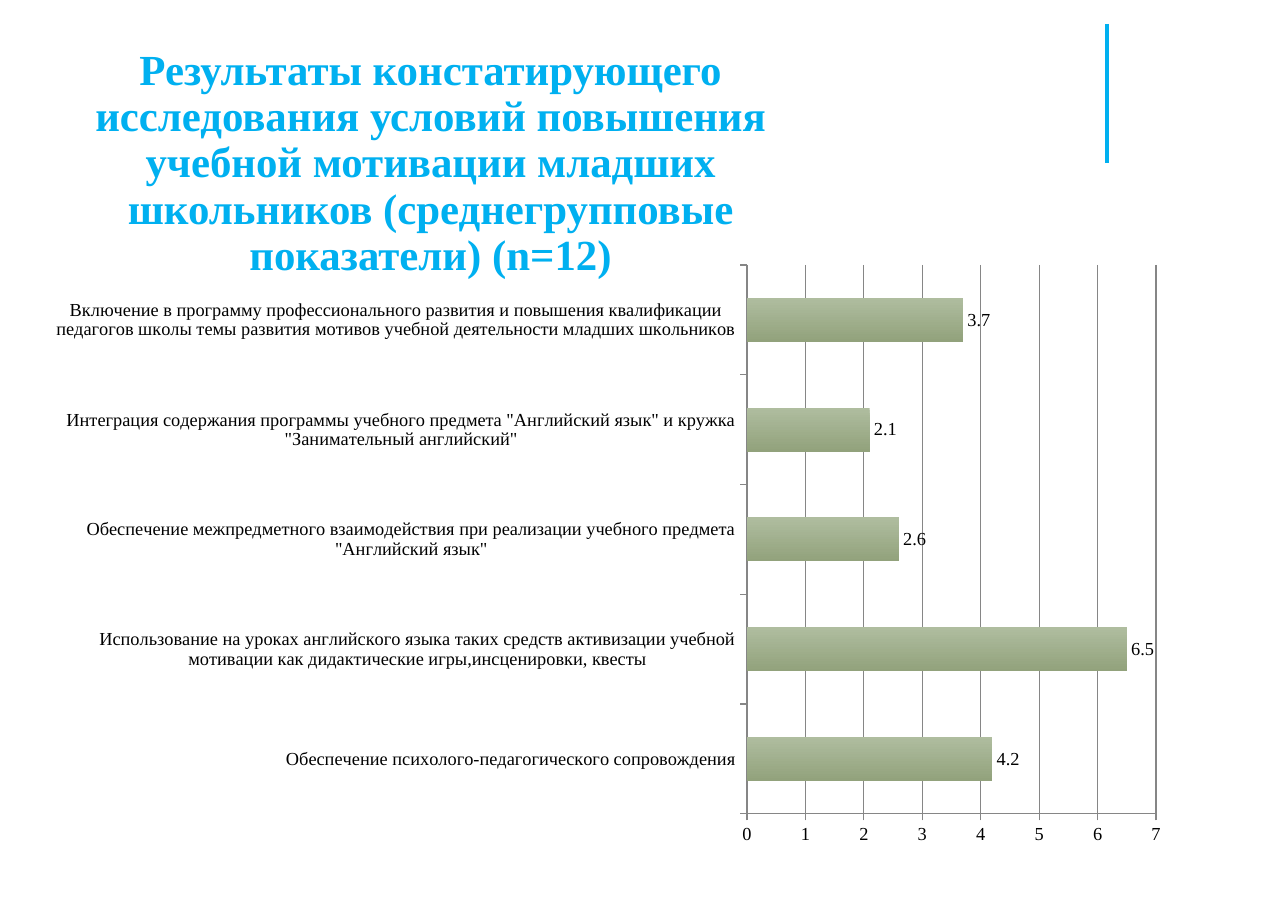
from lxml import etree
from pptx import Presentation
from pptx.chart.data import CategoryChartData
from pptx.dml.color import RGBColor
from pptx.enum.chart import XL_CHART_TYPE as CT, XL_LABEL_POSITION as LP, XL_TICK_MARK as TM
from pptx.enum.shapes import MSO_CONNECTOR as MC
from pptx.enum.text import MSO_ANCHOR as MA, MSO_AUTO_SIZE as AS, PP_ALIGN as PA
from pptx.oxml import parse_xml
from pptx.oxml.ns import nsdecls, qn
from pptx.util import Pt

SCALE = 8298
TITLE = ("Результаты констатирующего исследования условий повышения учебной мотивации "
         "младших школьников (среднегрупповые показатели) (n=12)")
SCORES = {
    "Обеспечение психолого-педагогического сопровождения": 4.2,
    "Использование на уроках английского языка таких средств активизации учебной "
    "мотивации как дидактические игры,инсценировки, квесты": 6.5,
    "Обеспечение межпредметного взаимодействия при реализации учебного предмета "
    "\"Английский язык\"": 2.6,
    "Интеграция содержания программы учебного предмета \"Английский язык\" и кружка "
    "\"Занимательный английский\"": 2.1,
    "Включение в программу профессионального развития и повышения квалификации педагогов "
    "школы темы развития мотивов учебной деятельности младших школьников": 3.7,
}


def px(*values):
    """Turn px lengths into a list of EMU lengths."""
    return [v * SCALE for v in values]


def rgb(code):
    """Turn a hex string into a colour."""
    return RGBColor.from_string(code)


def assign(obj, values):
    """Set attributes of an object from a dict."""
    for name, value in values.items():
        setattr(obj, name, value)


class Deck:
    """Hold the style and the current slide."""

    face = "Times New Roman"
    accent = "00B0F0"
    ink = "000000"
    grid = "868686"
    bar_stops = ("AFBD9F", "92A27C")

    def __init__(self, width, height):
        """Open a deck with one title-only slide."""
        self.prs = Presentation()
        self.prs.slide_width, self.prs.slide_height = px(width, height)
        self.s = self.prs.slides.add_slide(self.prs.slide_layouts[5])

    def font(self, font, size, color, bold=False):
        """Format a font."""
        assign(font, {"name": self.face, "size": Pt(size), "bold": bold})
        font.color.rgb = rgb(color)

    def title(self, text, box):
        """Fill and place the title placeholder."""
        sp = self.s.shapes.title
        assign(sp, dict(zip(("left", "top", "width", "height"), px(*box))))
        tf = sp.text_frame
        side, edge = px(12, 6)
        assign(tf, {"text": text, "word_wrap": True, "auto_size": AS.NONE,
                    "vertical_anchor": MA.MIDDLE, "margin_left": side, "margin_right": side,
                    "margin_top": edge, "margin_bottom": edge})
        p = tf.paragraphs[0]
        assign(p, {"alignment": PA.CENTER, "line_spacing": 0.9})
        self.font(p.runs[0].font, 28, self.accent, True)

    def line(self, ends, width):
        """Draw a straight accent line."""
        sp = self.s.shapes.add_connector(MC.STRAIGHT, *px(*ends))
        sp.line.width = Pt(width)
        sp.line.color.rgb = rgb(self.accent)
        etree.SubElement(sp._element.spPr, qn("a:effectLst"))

    def bars(self, scores, box, plot_box):
        """Draw a bar chart with a fixed inner plot area."""
        data = CategoryChartData()
        data.categories = list(scores)
        data.add_series("Series 1", list(scores.values()))
        chart = self.s.shapes.add_chart(CT.BAR_CLUSTERED, *px(*box), data).chart
        assign(chart, {"has_title": False, "has_legend": False})
        self.font(chart.font, 12, self.ink)
        self.layout(chart, box, plot_box)
        plot = chart.plots[0]
        assign(plot, {"gap_width": 150, "vary_by_categories": False, "has_data_labels": True})
        assign(plot.data_labels, {"show_value": True, "position": LP.OUTSIDE_END})
        self.font(plot.data_labels.font, 12, self.ink)
        fill = plot.series[0].format.fill
        fill.gradient()
        fill.gradient_angle = 270
        for stop, code in zip(fill.gradient_stops, self.bar_stops):
            stop.color.rgb = rgb(code)
        value_axis = chart.value_axis
        assign(value_axis, {"minimum_scale": 0, "maximum_scale": 7, "major_unit": 1,
                            "has_major_gridlines": True})
        chart.category_axis.has_major_gridlines = False
        for axis in (chart.category_axis, value_axis):
            assign(axis, {"major_tick_mark": TM.OUTSIDE, "minor_tick_mark": TM.NONE})
            self.font(axis.tick_labels.font, 12, self.ink)
        for item in (chart.category_axis, value_axis, value_axis.major_gridlines):
            item.format.line.color.rgb = rgb(self.grid)
            item.format.line.width = Pt(0.75)

    def layout(self, chart, box, plot_box):
        """Fix the inner plot area inside the chart frame."""
        left, top, width, height = box
        x, y, w, h = plot_box
        parts = {"x": (x - left) / width, "y": (y - top) / height, "w": w / width, "h": h / height}
        modes = '<c:xMode val="edge"/><c:yMode val="edge"/>'
        sizes = "".join(f'<c:{k} val="{v:.4f}"/>' for k, v in parts.items())
        area = chart._chartSpace.find(".//" + qn("c:plotArea"))
        for old in area.findall(qn("c:layout")):
            area.remove(old)
        area.insert(0, parse_xml(
            f'<c:layout {nsdecls("c")}><c:manualLayout><c:layoutTarget val="inner"/>'
            f'{modes}{sizes}</c:manualLayout></c:layout>'))


def main():
    """Build and save the slide."""
    deck = Deck(1288, 911)
    deck.title(TITLE, (36, 57, 789, 214))
    deck.line((1107, 24, 1107, 163), 2.25)
    deck.bars(SCORES, (34, 253, 1150, 604), (747, 265, 409, 549))
    deck.prs.save("out.pptx")


if __name__ == "__main__":
    main()
